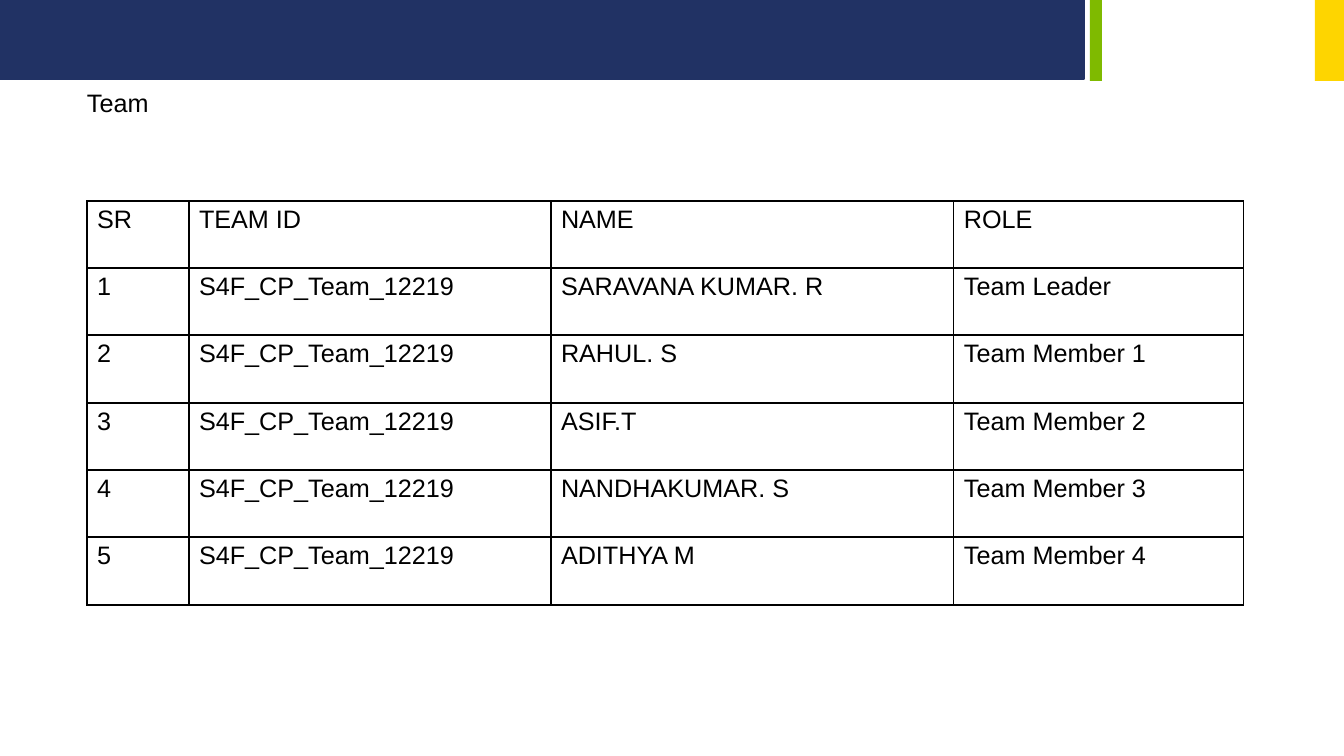
from pptx import Presentation
from pptx.dml.color import RGBColor
from pptx.enum.shapes import MSO_SHAPE
from pptx.enum.text import MSO_ANCHOR, MSO_AUTO_SIZE, PP_ALIGN
from pptx.oxml import parse_xml
from pptx.oxml.ns import nsdecls
from pptx.util import Emu, Pt

RECTANGLE = MSO_SHAPE.RECTANGLE
MIDDLE = MSO_ANCHOR.MIDDLE
GROW = MSO_AUTO_SIZE.SHAPE_TO_FIT_TEXT
LEFT, JUSTIFY = PP_ALIGN.LEFT, PP_ALIGN.JUSTIFY

NAVY = RGBColor(0x21, 0x32, 0x64)
GREEN = RGBColor(0x7F, 0xBA, 0x00)
YELLOW = RGBColor(0xFE, 0xD5, 0x00)
BLACK = RGBColor(0x00, 0x00, 0x00)

EMU_PER_PX = 914400 / 100.8
TITLE_ONLY = 5
TEAM_ID = "S4F_CP_Team_12219"
HEADINGS = ["SR", "TEAM ID", "NAME", "ROLE"]
MEMBERS = [
    ("SARAVANA KUMAR. R", "Team Leader"),
    ("RAHUL. S", "Team Member 1"),
    ("ASIF.T", "Team Member 2"),
    ("NANDHAKUMAR. S", "Team Member 3"),
    ("ADITHYA M", "Team Member 4"),
]


def px(length):
    return Emu(round(length * EMU_PER_PX))


class TeamPage:
    font = "Arial"
    size = Pt(18)

    def __init__(self, deck):
        self.page = deck.slides.add_slide(deck.slide_layouts[TITLE_ONLY])

    def add_text(self, para, text, align=LEFT):
        para.alignment = align
        span = para.add_run()
        span.text = text
        span.font.name = self.font
        span.font.size = self.size
        span.font.color.rgb = BLACK

    def title(self, text, left, top, width, height):
        box = self.page.shapes.title
        box.left, box.top, box.width, box.height = map(px, (left, top, width, height))
        frame = box.text_frame
        frame.margin_left = frame.margin_right = 0
        frame.margin_top = frame.margin_bottom = 0
        frame.vertical_anchor = MIDDLE
        frame.word_wrap = True
        frame.auto_size = GROW
        para = frame.paragraphs[0]
        para.line_spacing = 0.9
        self.add_text(para, text)

    def bar(self, left, width, height, color, outline=None):
        box = self.page.shapes.add_shape(RECTANGLE, px(left), 0, px(width), px(height))
        box.shadow.inherit = False
        box.fill.solid()
        box.fill.fore_color.rgb = color
        if outline:
            box.line.color.rgb = color
            box.line.width = outline
        else:
            box.line.fill.background()

    def border(self, cell):
        properties = cell._tc.get_or_add_tcPr()
        for position, side in enumerate(("lnL", "lnR", "lnT", "lnB")):
            properties.insert(position, parse_xml(
                f'<a:{side} {nsdecls("a")} w="{Pt(1)}"><a:solidFill>'
                f'<a:srgbClr val="{BLACK}"/></a:solidFill></a:{side}>'
            ))

    def table(self, rows, left, top, widths, height):
        count = len(rows)
        table = self.page.shapes.add_table(
            count, len(widths), px(left), px(top), px(sum(widths)), px(height)
        ).table
        table.first_row = table.horz_banding = False
        for column, width in zip(table.columns, widths):
            column.width = px(width)
        for index, texts in enumerate(rows):
            table.rows[index].height = px(height * (index + 1) // count - height * index // count)
            for column, text in enumerate(texts):
                cell = table.cell(index, column)
                cell.fill.background()
                self.border(cell)
                self.add_text(cell.text_frame.paragraphs[0], text, LEFT if index else JUSTIFY)


def main():
    deck = Presentation()
    deck.slide_width, deck.slide_height = px(1344), px(756)
    team = TeamPage(deck)
    team.bar(0, 1084, 79, NAVY, Pt(2))
    team.bar(1090, 12, 81, GREEN)
    team.bar(1315, 29, 81, YELLOW)
    team.title("Team", 87, 91, 1210, 27)
    rows = [HEADINGS]
    for number, (name, role) in enumerate(MEMBERS, 1):
        rows.append([str(number), TEAM_ID, name, role])
    team.table(rows, 87, 201, [102, 362, 403, 290], 404)
    deck.save("out.pptx")


if __name__ == "__main__":
    main()
